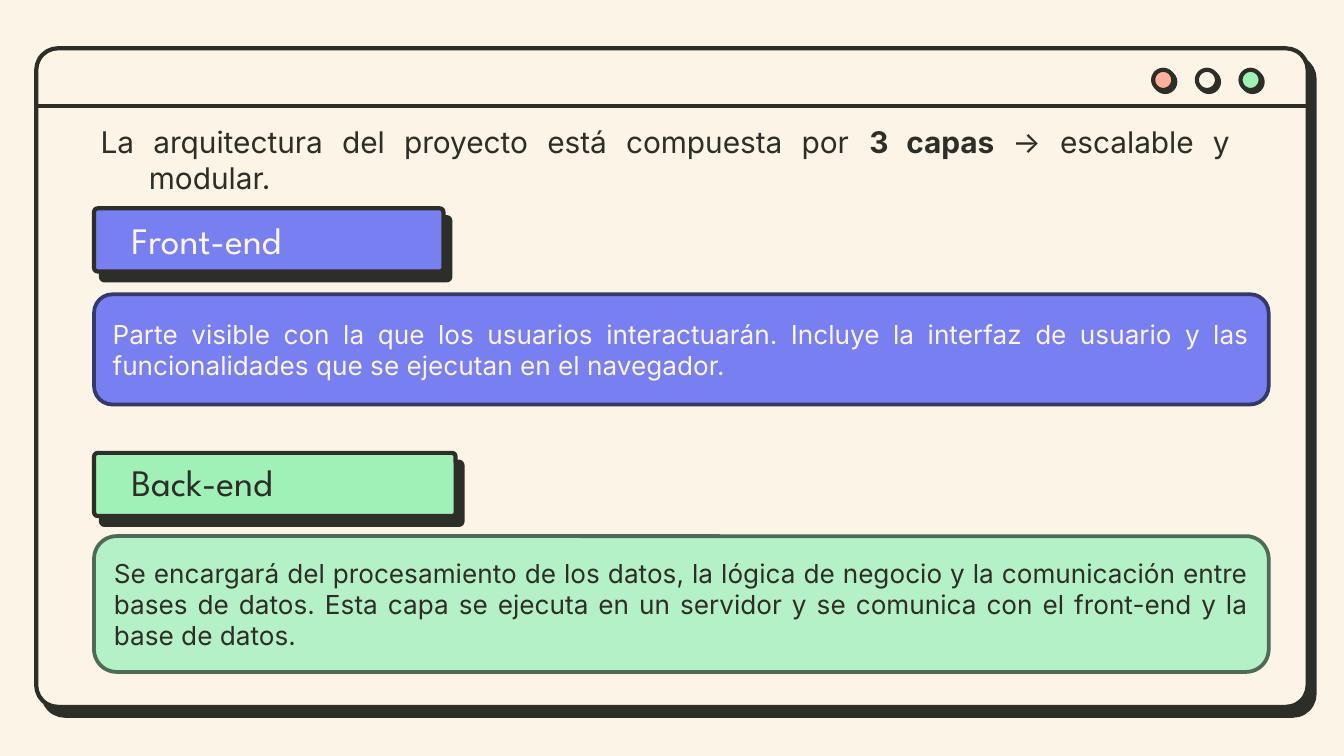
from dataclasses import dataclass

from lxml import etree
from pptx import Presentation
from pptx.dml.color import RGBColor
from pptx.enum.shapes import MSO_CONNECTOR, MSO_SHAPE
from pptx.enum.text import MSO_ANCHOR, PP_ALIGN
from pptx.oxml.ns import qn
from pptx.util import Emu, Inches, Pt

ROUND, OVAL = MSO_SHAPE.ROUNDED_RECTANGLE, MSO_SHAPE.OVAL
LINE = MSO_CONNECTOR.STRAIGHT
MIDDLE, BOTTOM = MSO_ANCHOR.MIDDLE, MSO_ANCHOR.BOTTOM
LEFT, JUSTIFY = PP_ALIGN.LEFT, PP_ALIGN.JUSTIFY

CREAM = RGBColor(0xFC, 0xF4, 0xE6)
INK = RGBColor(0x2D, 0x2E, 0x27)
CORAL = RGBColor(0xFF, 0xB0, 0x9C)
GREEN = RGBColor(0x9F, 0xF1, 0xB7)
MINT = RGBColor(0xB5, 0xF1, 0xC6)
MOSS = RGBColor(0x4F, 0x6A, 0x57)
BLUE = RGBColor(0x78, 0x7F, 0xF0)
NAVY = RGBColor(0x35, 0x38, 0x69)

WIDE, HIGH = Inches(10), Inches(5.625)
BODY, HEAD = "Inter", "League Spartan"


@dataclass(frozen=True)
class Box:
    """A place in percent of the slide's width (x, w) and height (y, h)."""
    x: float
    y: float
    w: float
    h: float

    def place(self) -> tuple[Emu, Emu, Emu, Emu]:
        return (Emu(int(WIDE * self.x / 100)), Emu(int(HIGH * self.y / 100)),
                Emu(int(WIDE * self.w / 100)), Emu(int(HIGH * self.h / 100)))


@dataclass(frozen=True)
class Layer:
    name: str
    tag: Box
    title: Box
    panel: Box
    tint: RGBColor
    fill: RGBColor
    edge: RGBColor
    ink: RGBColor
    note: str


LAYERS = (
    Layer("Front-end", Box(7, 27.56, 26, 8.36), Box(8.8, 27.56, 22.4, 8.36),
          Box(7, 38.93, 87.4, 14.58), BLUE, BLUE, NAVY, CREAM,
          "Parte visible con la que los usuarios interactuarán. Incluye la "
          "interfaz de usuario y las funcionalidades que se ejecutan en el "
          "navegador."),
    Layer("Back-end", Box(7, 59.91, 26.9, 8.36), Box(8.8, 59.56, 22.4, 8.36),
          Box(7, 70.93, 87.4, 17.96), GREEN, MINT, MOSS, INK,
          "Se encargará del procesamiento de los datos, la lógica de negocio "
          "y la comunicación entre bases de datos. Esta capa se ejecuta en un "
          "servidor y se comunica con el front-end y la base de datos."),
)


def cast(shape, gap: float, angle: int) -> None:
    """Add a hard shadow, gap points away at the given angle."""
    effects = etree.SubElement(shape._element.spPr, qn("a:effectLst"))
    shade = etree.SubElement(effects, qn("a:outerShdw"), blurRad="0",
                             dist=str(Pt(gap)), dir=str(angle * 60000),
                             algn="bl", rotWithShape="0")
    etree.SubElement(shade, qn("a:srgbClr"), val=str(INK))


def draw(slide, kind, box: Box, fill: RGBColor, edge: RGBColor = INK,
         width: float = 2.25, curve: float | None = None,
         shade: tuple[float, int] | None = None):
    shape = slide.shapes.add_shape(kind, *box.place())
    shape.fill.solid()
    shape.fill.fore_color.rgb = fill
    shape.line.color.rgb = edge
    shape.line.width = Pt(width)
    if curve is not None:
        shape.adjustments[0] = curve
    if shade:
        cast(shape, *shade)
    else:
        shape.shadow.inherit = False
    return shape


def write(shape, *parts: str, size: float, color: RGBColor, font: str = BODY,
          align=JUSTIFY, anchor=MIDDLE, pad: float = 0.05,
          hang: tuple[float, float] | None = None) -> None:
    """Fill a shape with one paragraph; every second part is bold."""
    frame = shape.text_frame
    frame.word_wrap = True
    frame.vertical_anchor = anchor
    frame.margin_top = frame.margin_bottom = Inches(pad)
    para = frame.paragraphs[0]
    para.alignment = align
    if hang:
        props = para._p.get_or_add_pPr()
        props.set("marL", str(Inches(hang[0])))
        props.set("indent", str(Inches(hang[1])))
    for i, part in enumerate(parts):
        run = para.add_run()
        run.text = part
        run.font.name = font
        run.font.size = Pt(size)
        run.font.bold = i % 2 == 1
        run.font.color.rgb = color


def frame(slide) -> None:
    """Draw the window with its title bar and three buttons."""
    draw(slide, ROUND, Box(2.7, 6.4, 94.6, 87.11), CREAM, curve=0.033,
         shade=(6, 52))
    x, y, w, _ = Box(2.7, 14.04, 94.5, 0).place()
    bar = slide.shapes.add_connector(LINE, x, y, x + w, y)
    bar.line.color.rgb = INK
    bar.line.width = Pt(2.25)
    etree.SubElement(bar._element.spPr, qn("a:effectLst"))
    for i, color in enumerate((CORAL, CREAM, GREEN)):
        draw(slide, OVAL, Box(85.8 + 3.25 * i, 9.24, 1.5, 2.67), color,
             shade=(1.5, 45))


def stack(slide, layer: Layer) -> None:
    """Draw a layer's tag, its title and the panel below."""
    draw(slide, ROUND, layer.tag, layer.tint, curve=0.057, shade=(6, 52))
    title = slide.shapes.add_textbox(*layer.title.place())
    write(title, layer.name, size=20, color=layer.ink, font=HEAD, align=LEFT,
          pad=0.1)
    panel = draw(slide, ROUND, layer.panel, layer.fill, layer.edge, 2)
    write(panel, layer.note, size=14, color=layer.ink)


def main() -> None:
    deck = Presentation()
    deck.slide_width, deck.slide_height = WIDE, HIGH
    slide = deck.slides.add_slide(deck.slide_layouts[6])
    slide.background.fill.solid()
    slide.background.fill.fore_color.rgb = CREAM
    frame(slide)
    intro = slide.shapes.add_textbox(*Box(5.1, 19.56, 87.4, 7.11).place())
    write(intro, "La arquitectura del proyecto está compuesta por ",
          "3 capas ", "→ escalable y modular.", size=16, color=INK,
          anchor=BOTTOM, hang=(0.5, -0.36))
    for layer in LAYERS:
        stack(slide, layer)
    deck.save("out.pptx")


if __name__ == "__main__":
    main()
